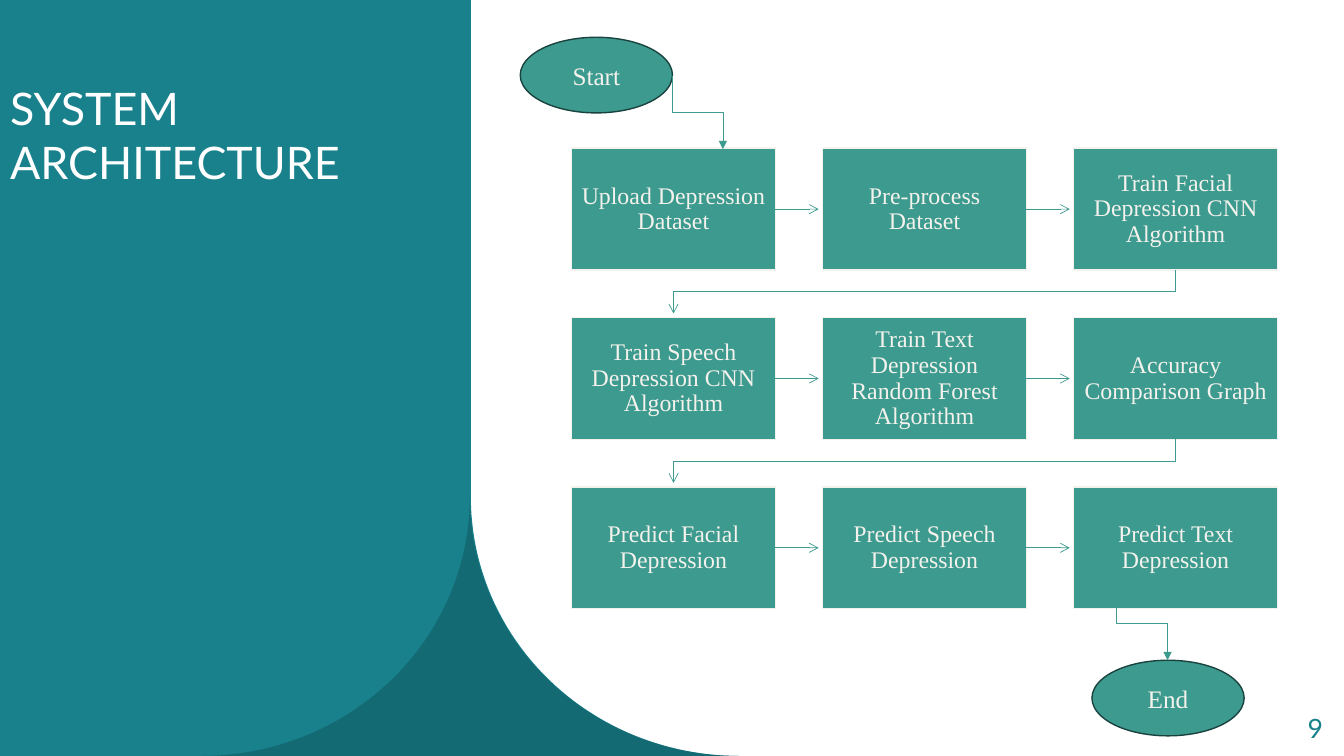
from math import cos, pi, sin

from pptx import Presentation
from pptx import util as u
from pptx.dml.color import RGBColor
from pptx.enum import shapes, text
from pptx.oxml.ns import qn
from lxml import etree

WHITE = RGBColor(0xFF, 0xFF, 0xFF)
TEAL = RGBColor(0x18, 0x81, 0x8C)
DEEP_TEAL = RGBColor(0x12, 0x61, 0x69)
GREEN = RGBColor(0x3C, 0x9A, 0x8F)
DARK_GREEN = RGBColor(0x1A, 0x43, 0x3F)
CREAM = RGBColor(0xF4, 0xF2, 0xEC)
RECTANGLE = shapes.MSO_SHAPE.RECTANGLE
OVAL = shapes.MSO_SHAPE.OVAL
HEADING_FONT = "Lato"
FLOW_FONT = "Times New Roman"


def px(length):
    """Turn hundredths of an inch into EMU."""
    return u.Emu(round(length * 9144))


class FlowSlide:
    """Draws the elements of a flowchart slide in one style."""

    def __init__(self, slide):
        """Keep the slide to draw on."""
        self.slide = slide

    def set_text(self, frame, words, size, font, color, align, anchor, spacing=1.0):
        """Fill a text frame with one formatted paragraph."""
        frame.word_wrap = True
        frame.auto_size = text.MSO_AUTO_SIZE.NONE
        frame.vertical_anchor = anchor
        paragraph = frame.paragraphs[0]
        paragraph.text = words
        paragraph.alignment = align
        paragraph.line_spacing = spacing
        paragraph.font.size = u.Pt(size)
        paragraph.font.name = font
        paragraph.font.color.rgb = color

    def title(self, words, left, top, width, height):
        """Place and format the title placeholder."""
        heading = self.slide.shapes.title
        heading.left, heading.top = px(left), px(top)
        heading.width, heading.height = px(width), px(height)
        self.set_text(heading.text_frame, words, 32, HEADING_FONT, WHITE,
                      text.PP_ALIGN.LEFT, text.MSO_ANCHOR.TOP)

    def page_number(self, words, left, top, width, height):
        """Add the page number."""
        number = self.slide.shapes.add_textbox(px(left), px(top), px(width), px(height))
        self.set_text(number.text_frame, words, 19, HEADING_FONT, TEAL,
                      text.PP_ALIGN.RIGHT, text.MSO_ANCHOR.MIDDLE, 0.9)

    def paint(self, shape, fill, outline=None):
        """Set the fill and outline of a shape without shadow."""
        shape.shadow.inherit = False
        shape.fill.solid()
        shape.fill.fore_color.rgb = fill
        if outline is None:
            shape.line.fill.background()
        else:
            shape.line.color.rgb = outline
            shape.line.width = u.Pt(1)

    def panel(self, left, top, width, height):
        """Add the plain panel behind the title."""
        side = self.slide.shapes.add_shape(
            RECTANGLE, px(left), px(top), px(width), px(height))
        self.paint(side, TEAL)

    def flare(self, tip_x, tip_y, radius_x, radius_y, fill, opacity):
        """Add a pointed foot bounded by two quarter ellipses."""
        angles = [step * pi / 96 for step in range(49)]
        curve = [(radius_x * (1 - sin(a)), tip_y + radius_y * cos(a)) for a in angles]
        outline = [(tip_x - dx, y) for dx, y in curve]
        outline += [(tip_x + dx, y) for dx, y in reversed(curve)]
        points = [(px(x), px(y)) for x, y in outline]
        builder = self.slide.shapes.build_freeform(*points[0])
        builder.add_line_segments(points[1:], close=True)
        foot = builder.convert_to_shape()
        self.paint(foot, fill)
        tint = foot.element.spPr.find(".//" + qn("a:srgbClr"))
        etree.SubElement(tint, qn("a:alpha")).set("val", str(opacity * 1000))

    def node(self, kind, words, left, top, width, height, size, outline, spacing):
        """Add a labelled flowchart shape."""
        node = self.slide.shapes.add_shape(kind, px(left), px(top), px(width), px(height))
        self.paint(node, GREEN, outline)
        node.text_frame.margin_left = node.text_frame.margin_right = px(9)
        self.set_text(node.text_frame, words, size, FLOW_FONT, CREAM,
                      text.PP_ALIGN.CENTER, text.MSO_ANCHOR.MIDDLE, spacing)
        return node

    def step(self, words, left, top, width, height):
        """Add a process step."""
        return self.node(RECTANGLE, words, left, top, width, height, 17, CREAM, 0.9)

    def terminal(self, words, left, top):
        """Add a start or end oval."""
        return self.node(OVAL, words, left, top, 151, 75, 18, DARK_GREEN, 1.0)

    def arrow(self, kind, start, end, head):
        """Add a thin connector with an arrowhead."""
        link = self.slide.shapes.add_connector(
            kind, *(px(value) for value in (*start, *end)))
        link.line.color.rgb = GREEN
        link.line.width = u.Pt(0.5)
        properties = link.element.spPr
        etree.SubElement(properties.find(qn("a:ln")), qn("a:tailEnd")).set("type", head)
        etree.SubElement(properties, qn("a:effectLst"))
        return link

    def straight(self, source, start, end):
        """Add an arrow leaving the right side of a step."""
        link = self.arrow(shapes.MSO_CONNECTOR.STRAIGHT, start, end, "arrow")
        link.begin_connect(source, 3)

    def elbow(self, start, end, head):
        """Add an arrow that goes down, across and down again."""
        (x1, y1), (x2, y2) = start, end
        center_x, center_y = (x1 + x2) / 2, (y1 + y2) / 2
        half_drop, half_run = (y2 - y1) / 2, abs(x2 - x1) / 2
        side, turn = (1, 90) if x2 < x1 else (-1, 270)
        link = self.arrow(
            shapes.MSO_CONNECTOR.ELBOW,
            (center_x - side * half_drop, center_y - half_run),
            (center_x + side * half_drop, center_y + half_run), head)
        link.element.spPr.find(qn("a:xfrm")).set("rot", str(turn * 60000))


STEPS = [
    ["Upload Depression Dataset", "Pre-process Dataset",
     "Train Facial Depression CNN Algorithm"],
    ["Train Speech Depression CNN Algorithm",
     "Train Text Depression Random Forest Algorithm", "Accuracy Comparison Graph"],
    ["Predict Facial Depression", "Predict Speech Depression",
     "Predict Text Depression"],
]
GRID_LEFT, GRID_TOP = 567, 147
STEP_WIDTH, STEP_HEIGHT = 202, 121
COLUMN_PITCH, ROW_PITCH = 249, 168
ARROW_GAP = 4


def main():
    """Build and save the system architecture slide."""
    deck = Presentation()
    deck.slide_width, deck.slide_height = px(1333), px(750)
    page = FlowSlide(deck.slides.add_slide(deck.slide_layouts[5]))

    page.panel(0, 0, 467, 750)
    page.flare(467, 493, 266, 257, TEAL, 100)
    page.flare(466, 493, 266, 257, DEEP_TEAL, 70)
    page.title("SYSTEM ARCHITECTURE", 0, 75, 465, 420)
    heading = page.slide.shapes.title.element
    heading.getparent().append(heading)
    page.page_number("9", 1246, 704, 76, 40)

    for row, labels in enumerate(STEPS):
        top = GRID_TOP + row * ROW_PITCH
        middle = top + STEP_HEIGHT / 2
        for column, label in enumerate(labels):
            left = GRID_LEFT + column * COLUMN_PITCH
            step = page.step(label, left, top, STEP_WIDTH, STEP_HEIGHT)
            if column < len(labels) - 1:
                page.straight(step, (left + STEP_WIDTH, middle),
                              (left + COLUMN_PITCH - ARROW_GAP, middle))
            elif row < len(STEPS) - 1:
                page.elbow((left + STEP_WIDTH / 2, top + STEP_HEIGHT),
                           (GRID_LEFT + STEP_WIDTH / 2, top + ROW_PITCH - ARROW_GAP),
                           "arrow")

    page.terminal("Start", 516, 37)
    page.terminal("End", 1083, 655)
    page.elbow((667, 75), (717, 148), "triangle")
    page.elbow((1107, 582), (1158, 655), "triangle")
    deck.save("out.pptx")


if __name__ == "__main__":
    main()
